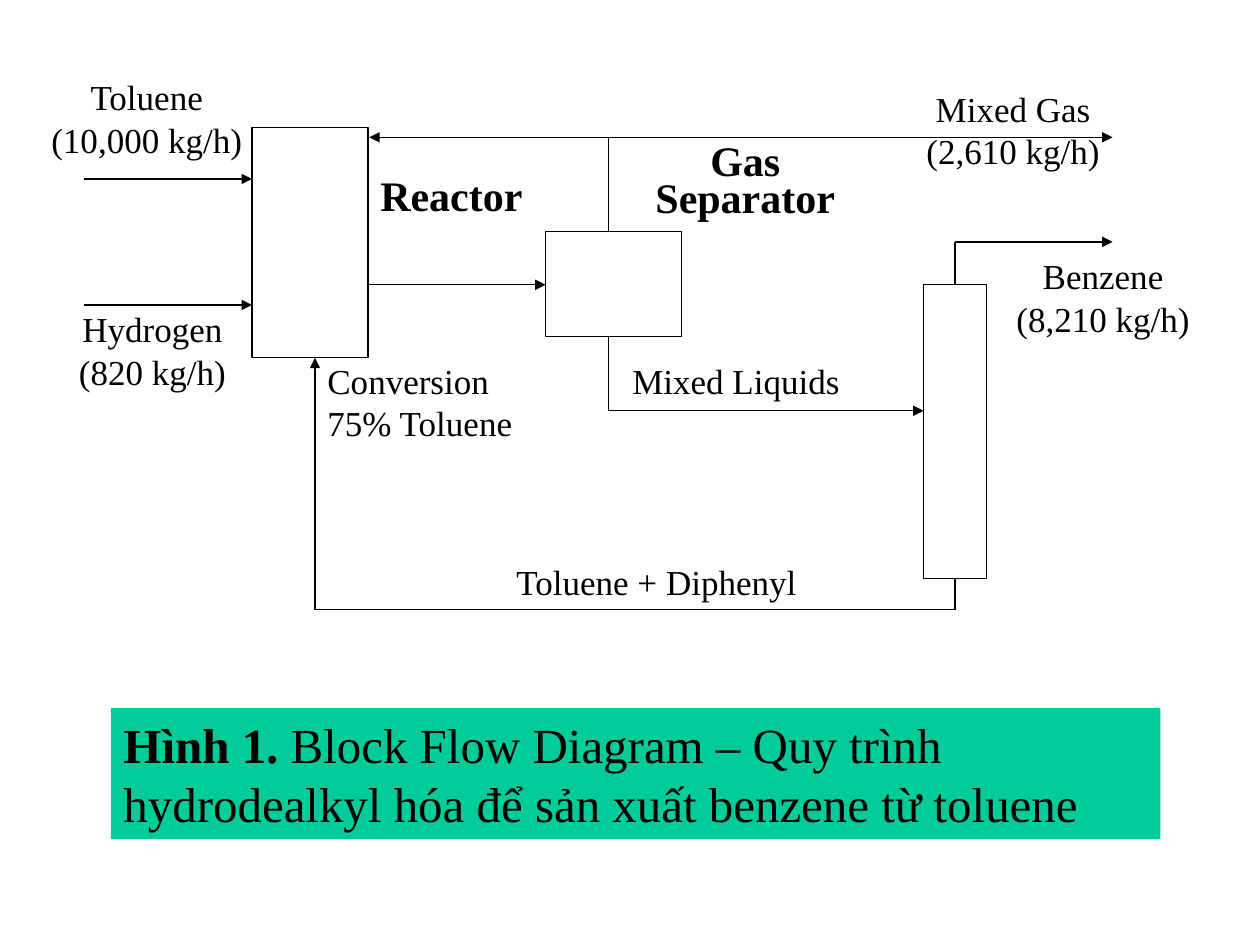
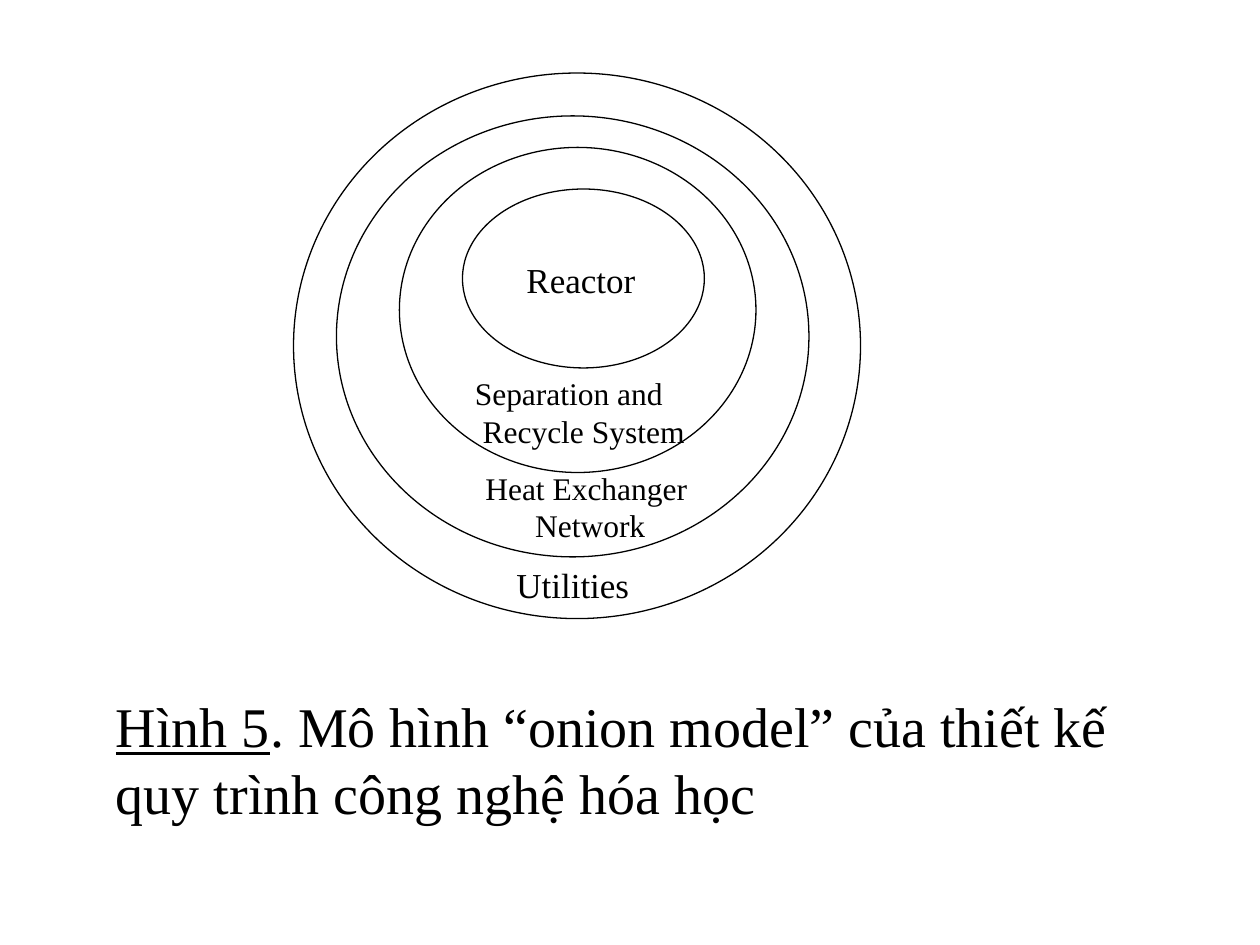
"""Builds two process design slides: a block flow diagram and an onion model."""
from itertools import pairwise

from pptx import Presentation
from pptx import util as u
from pptx.dml.color import RGBColor
from pptx.enum import shapes, text
from pptx.oxml import ns, xmlchemy

BLACK = RGBColor(0x00, 0x00, 0x00)
WHITE = RGBColor(0xFF, 0xFF, 0xFF)
GREEN = RGBColor(0x00, 0xCC, 0x99)
FONT = "Times New Roman"
LEFT, CENTER = text.PP_ALIGN.LEFT, text.PP_ALIGN.CENTER


class FigureDeck:
    """Holds the shared style and the current slide."""

    def __init__(self):
        self.deck = Presentation()
        self.deck.slide_width = u.Inches(10)
        self.deck.slide_height = u.Inches(7.5)
        self.slide = None

    def new_slide(self):
        """Start a slide with a title placeholder."""
        self.slide = self.deck.slides.add_slide(self.deck.slide_layouts[5])

    def add_run(self, paragraph, words, size, bold=False, underline=False):
        """Append one styled run."""
        run = paragraph.add_run()
        run.text = words
        font = run.font
        font.name, font.size = FONT, u.Pt(size)
        font.bold, font.underline = bold, underline
        font.color.rgb = BLACK

    def outline(self, kind, box, fill=None):
        """Draw a thin black outline, filled or open."""
        shape = self.slide.shapes.add_shape(kind, *map(u.Inches, box))
        shape.shadow.inherit = False
        if fill is None:
            shape.fill.background()
        else:
            shape.fill.solid()
            shape.fill.fore_color.rgb = fill
        shape.line.color.rgb = BLACK
        shape.line.width = u.Pt(0.75)

    def stream(self, *points, arrow=True):
        """Join points with straight lines, with an arrowhead at the last."""
        for start, end in pairwise(points):
            line = self.slide.shapes.add_connector(
                shapes.MSO_CONNECTOR.STRAIGHT, *map(u.Inches, start + end))
            line.line.color.rgb = BLACK
            line.line.width = u.Pt(0.75)
            properties = line._element.spPr
            if arrow and end == points[-1]:
                head = xmlchemy.OxmlElement("a:tailEnd")
                head.set("type", "triangle")
                properties.find(ns.qn("a:ln")).append(head)
            properties.append(xmlchemy.OxmlElement("a:effectLst"))

    def label(self, box, lines, size=20, align=LEFT, bold=False,
              spacing=1.0, gap=0.5, wrap=True):
        """Place a label with one paragraph per line."""
        frame = self.slide.shapes.add_textbox(*map(u.Inches, box)).text_frame
        frame.word_wrap = wrap
        frame.auto_size = text.MSO_AUTO_SIZE.SHAPE_TO_FIT_TEXT
        for index, words in enumerate(lines):
            paragraph = frame.add_paragraph() if index else frame.paragraphs[0]
            paragraph.alignment = align
            paragraph.line_spacing = spacing
            paragraph.space_before = u.Pt(size * gap)
            self.add_run(paragraph, words, size, bold)

    def caption(self, box, runs, size, fill=None):
        """Use the title placeholder as the figure caption."""
        title = self.slide.shapes.title
        title.left, title.top, title.width, title.height = map(u.Inches, box)
        if fill is not None:
            title.fill.solid()
            title.fill.fore_color.rgb = fill
        frame = title.text_frame
        frame.word_wrap = True
        frame.auto_size = text.MSO_AUTO_SIZE.SHAPE_TO_FIT_TEXT
        frame.vertical_anchor = text.MSO_ANCHOR.TOP
        paragraph = frame.paragraphs[0]
        paragraph.alignment = LEFT
        for words, bold, underline in runs:
            self.add_run(paragraph, words, size, bold, underline)


def flow_diagram(figure):
    """Draw the toluene hydrodealkylation flow diagram."""
    figure.new_slide()
    reactor = (2, 1.01, 0.92, 1.83)
    separator = (4.33, 1.84, 1.08, 0.83)
    column = (7.33, 2.26, 0.5, 2.33)
    for unit in (reactor, separator, column):
        figure.outline(shapes.MSO_SHAPE.RECTANGLE, unit, WHITE)

    gas_x, column_x, outlet_x, gas_y = 4.83, 7.58, 8.83, 1.09
    for feed_y in (1.42, 2.42):
        figure.stream((0.67, feed_y), (2, feed_y))
    figure.stream((2.92, 2.26), (4.33, 2.26))
    figure.stream((gas_x, 1.84), (gas_x, gas_y), arrow=False)
    for gas_end in (outlet_x, 2.93):
        figure.stream((gas_x, gas_y), (gas_end, gas_y))
    figure.stream((column_x, 2.26), (column_x, 1.92), (outlet_x, 1.92))
    figure.stream((gas_x, 2.67), (gas_x, 3.26), (7.33, 3.26))
    figure.stream((column_x, 4.59), (column_x, 4.84), (2.5, 4.84), (2.5, 2.84))

    flows = [
        ((7.25, 0.76, 1.58, 0.67), ["Mixed Gas", "(2,610 kg/h)"], CENTER),
        ((7.92, 2.09, 1.67, 0.67), ["Benzene", "(8,210 kg/h)"], CENTER),
        ((0.25, 0.67, 1.83, 0.67), ["Toluene", "(10,000 kg/h)"], CENTER),
        ((0.42, 2.51, 1.58, 0.67), ["Hydrogen", "(820 kg/h)"], CENTER),
        ((2.5, 2.92, 1.83, 0.67), ["Conversion", "75% Toluene"], LEFT),
        ((4.92, 2.92, 2, 0.3), ["Mixed Liquids"], LEFT),
    ]
    for box, lines, align in flows:
        figure.label(box, lines, align=align, spacing=0.6)
    figure.label((4, 4.4, 2.58, 0.44), ["Toluene + Diphenyl"])
    figure.label((5, 1.26, 1.83, 0.54), ["Gas", "Separator"], 24, CENTER,
                 bold=True, spacing=0.3)
    figure.label((2.92, 1.44, 1.33, 0.34), ["Reactor"], 24, bold=True,
                 spacing=0.6)
    figure.caption((0.88, 5.62, 8.33, 1.04), [
        ("Hình 1. ", True, False),
        ("Block Flow Diagram – Quy trình hydrodealkyl hóa để sản xuất "
         "benzene từ toluene", False, False),
    ], 28, GREEN)


def onion_model(figure):
    """Draw the nested layers of process design."""
    figure.new_slide()
    layers = [
        ((3.67, 1.5, 1.92, 1.42), (4.08, 2, 1.13, 0.43),
         ["Reactor"], 20, LEFT),
        ((3.17, 1.17, 2.83, 2.58), (3.67, 2.92, 1.87, 0.7),
         ["Separation and", " Recycle System"], 18, LEFT),
        ((2.67, 0.92, 3.75, 3.5), (3.75, 3.67, 1.87, 0.7),
         ["Heat Exchanger ", "Network"], 18, CENTER),
        ((2.33, 0.58, 4.5, 4.33), (4, 4.42, 1.16, 0.43),
         ["Utilities"], 20, LEFT),
    ]
    for ring, box, lines, size, align in layers:
        figure.outline(shapes.MSO_SHAPE.OVAL, ring)
        figure.label(box, lines, size, align, gap=0, wrap=False)
    figure.caption((0.82, 5.44, 8.69, 1.18), [
        ("Hình 5", False, True),
        (". Mô hình “onion model” của thiết kế quy trình công nghệ hóa học",
         False, False),
    ], 32)


def main():
    """Build and save both slides."""
    figure = FigureDeck()
    flow_diagram(figure)
    onion_model(figure)
    figure.deck.save("out.pptx")


if __name__ == "__main__":
    main()
